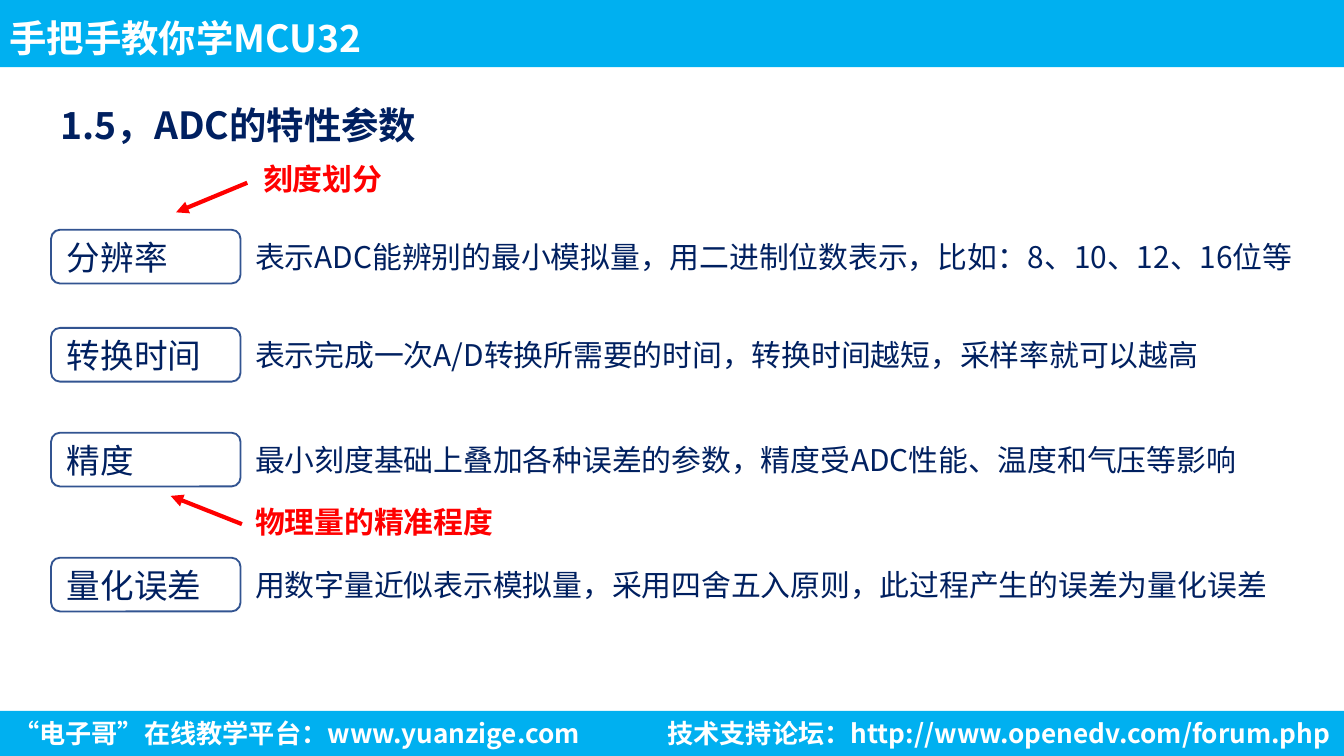
"""Build the slide on the characteristic parameters of an ADC."""
from dataclasses import dataclass

from lxml import etree
from pptx import Presentation
from pptx.dml.color import RGBColor
from pptx.enum import shapes, text
from pptx.oxml import ns
from pptx.util import Inches, Pt


@dataclass(frozen=True)
class Theme:
    font: str = "Noto Sans CJK SC"
    bar: str = "00B0F0"
    white: str = "FFFFFF"
    navy: str = "002060"
    outline: str = "325491"
    red: str = "FF0000"
    heading: int = 20
    label: int = 18
    body: int = 16
    footer: int = 14


THEME = Theme()

PARAMETERS = [
    (1.71, 8.01, "分辨率", "表示ADC能辨别的最小模拟量，用二进制位数表示，比如：8、10、12、16位等"),
    (2.44, 7.29, "转换时间", "表示完成一次A/D转换所需要的时间，转换时间越短，采样率就可以越高"),
    (3.22, 7.79, "精度", "最小刻度基础上叠加各种误差的参数，精度受ADC性能、温度和气压等影响"),
    (4.15, 8.01, "量化误差", "用数字量近似表示模拟量，采用四舍五入原则，此过程产生的误差为量化误差"),
]


def write(shape, content, size, color, bold=False, align=text.PP_ALIGN.LEFT,
          anchor=text.MSO_ANCHOR.TOP, spacing=None, insets=(0.1, 0.05)):
    frame = shape.text_frame
    frame.word_wrap = True
    frame.vertical_anchor = anchor
    frame.margin_left = frame.margin_right = Inches(insets[0])
    frame.margin_top = frame.margin_bottom = Inches(insets[1])
    paragraph = frame.paragraphs[0]
    paragraph.alignment = align
    paragraph.line_spacing = spacing
    run = paragraph.add_run()
    run.text = content
    run.font.size = Pt(size)
    run.font.bold = bold
    run.font.color.rgb = RGBColor.from_string(color)
    run.font.name = THEME.font
    east_asian = etree.SubElement(run.font._element, ns.qn("a:ea"))
    east_asian.set("typeface", THEME.font)


def add_text(slide, left, top, width, height, content, size, color, **options):
    box = slide.shapes.add_textbox(Inches(left), Inches(top), Inches(width), Inches(height))
    write(box, content, size, color, **options)


def add_bar(slide, top, height):
    bar = slide.shapes.add_shape(shapes.MSO_SHAPE.RECTANGLE, 0, Inches(top),
                                 Inches(10), Inches(height))
    bar.shadow.inherit = False
    bar.fill.solid()
    bar.fill.fore_color.rgb = RGBColor.from_string(THEME.bar)
    bar.line.fill.background()


def add_label(slide, top, content):
    label = slide.shapes.add_shape(shapes.MSO_SHAPE.ROUNDED_RECTANGLE, Inches(0.38),
                                   Inches(top), Inches(1.41), Inches(0.4))
    label.shadow.inherit = False
    label.fill.background()
    label.line.color.rgb = RGBColor.from_string(THEME.outline)
    label.line.width = Pt(1)
    write(label, content, THEME.label, THEME.navy, anchor=text.MSO_ANCHOR.MIDDLE)


def add_arrow(slide, start, end):
    points = [Inches(value) for value in start + end]
    arrow = slide.shapes.add_connector(shapes.MSO_CONNECTOR.STRAIGHT, *points)
    arrow.line.color.rgb = RGBColor.from_string(THEME.red)
    arrow.line.width = Pt(2.25)
    head = etree.SubElement(arrow.line._get_or_add_ln(), ns.qn("a:tailEnd"))
    head.set("type", "triangle")
    etree.SubElement(arrow._element.spPr, ns.qn("a:effectLst"))


def set_title(slide, content):
    title = slide.shapes.title
    title.left, title.top = Inches(0.4), Inches(0.57)
    title.width, title.height = Inches(5.24), Inches(0.5)
    write(title, content, THEME.heading, THEME.navy, bold=True, spacing=1.5,
          insets=(0.05, 0.02))
    title.text_frame.auto_size = text.MSO_AUTO_SIZE.NONE


def add_bars(slide):
    add_bar(slide, 5.29, 0.34)
    add_bar(slide, 0, 0.5)
    add_text(slide, 0, 0, 6.45, 0.5, "手把手教你学MCU32", THEME.heading, THEME.white,
             bold=True, anchor=text.MSO_ANCHOR.MIDDLE, spacing=1.2, insets=(0.07, 0.04))
    add_text(slide, 0, 5.29, 5.88, 0.34, "“电子哥”在线教学平台：www.yuanzige.com",
             THEME.footer, THEME.white, bold=True)
    add_text(slide, 3.63, 5.29, 6.37, 0.34, "技术支持论坛：http://www.openedv.com/forum.php",
             THEME.footer, THEME.white, bold=True, align=text.PP_ALIGN.RIGHT)


def main():
    presentation = Presentation()
    presentation.slide_width = Inches(10)
    presentation.slide_height = Inches(10) * 9 // 16
    slide = presentation.slides.add_slide(presentation.slide_layouts[5])
    set_title(slide, "1.5，ADC的特性参数")
    add_bars(slide)
    for top, width, name, meaning in PARAMETERS:
        add_label(slide, top, name)
        add_text(slide, 1.8, top + 0.02, width, 0.37, meaning, THEME.body, THEME.navy)
    add_text(slide, 1.86, 1.15, 1.25, 0.37, "刻度划分", THEME.body, THEME.red, bold=True)
    add_text(slide, 1.8, 3.7, 2.09, 0.37, "物理量的精准程度", THEME.body, THEME.red, bold=True)
    add_arrow(slide, (1.84, 1.36), (1.31, 1.58))
    add_arrow(slide, (1.8, 3.9), (1.27, 3.69))
    presentation.save("out.pptx")


if __name__ == "__main__":
    main()
